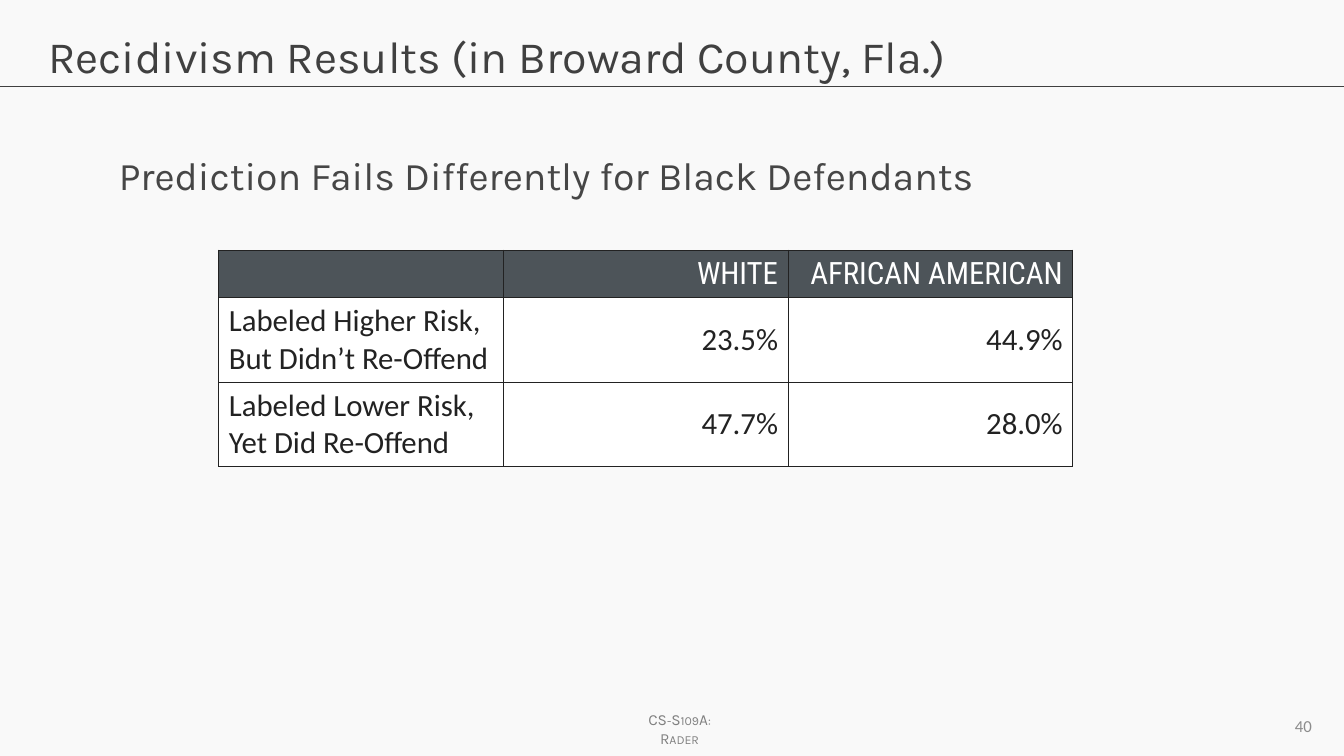
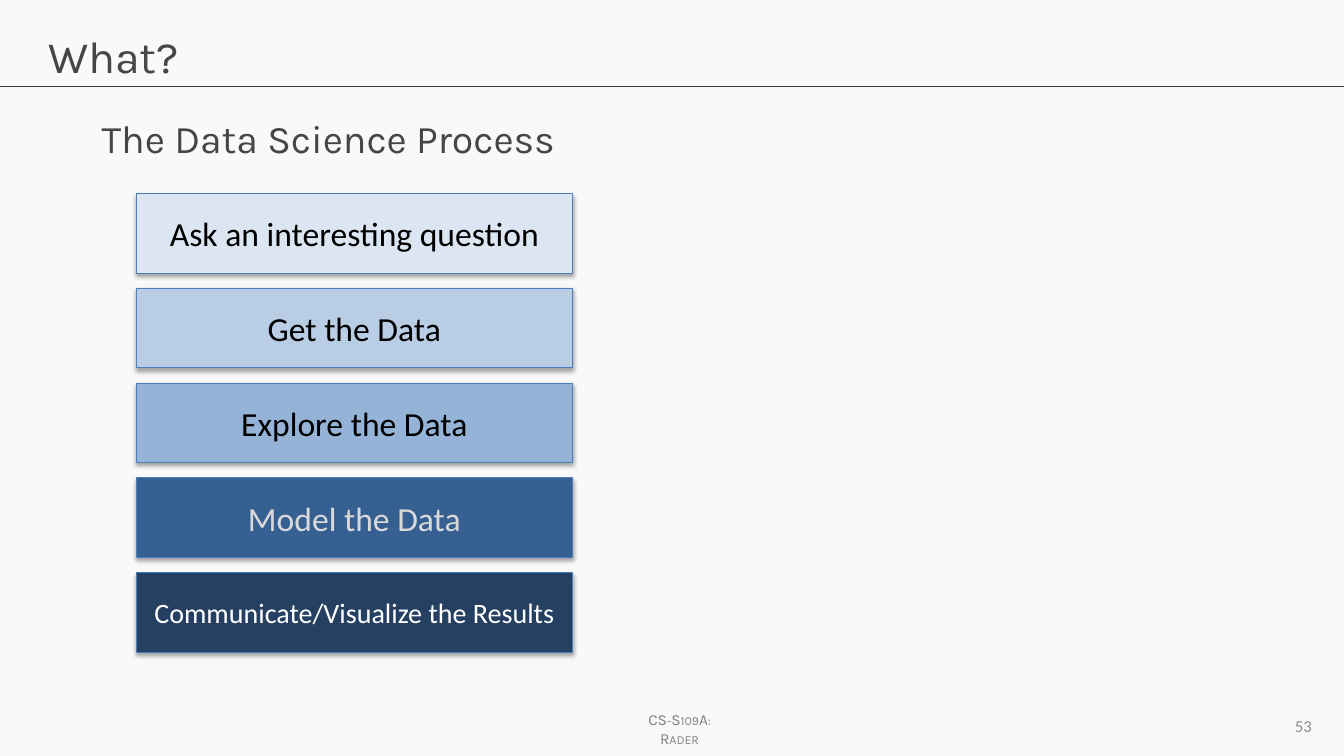
"""Build two lecture slides: a results table and the steps of a process."""
from dataclasses import dataclass

from lxml.etree import SubElement
from pptx import Presentation
from pptx.dml.color import RGBColor
from pptx.enum.shapes import MSO_CONNECTOR, MSO_SHAPE
from pptx.enum.text import MSO_ANCHOR, PP_ALIGN
from pptx.oxml.ns import qn
from pptx.shapes.base import BaseShape
from pptx.slide import Slide
from pptx.table import _Cell
from pptx.text.text import TextFrame
from pptx.util import Inches, Pt


@dataclass(frozen=True)
class Theme:
    """Colours, fonts and type sizes."""
    back: str = "F9F9F9"
    dark: str = "404040"
    soft: str = "464646"
    foot: str = "808080"
    page: str = "8C8C8C"
    head: str = "4D5459"
    ink: str = "222222"
    edge: str = "4B7EBC"
    pale: str = "D9D9D9"
    white: str = "FFFFFF"
    black: str = "000000"
    sans: str = "Karla"
    plain: str = "Calibri"
    slim: str = "Roboto Condensed"
    title: int = 32
    lead: int = 28
    step: int = 24
    small: int = 20
    grid: int = 22
    num: int = 12
    note: int = 11
    thin: float = 0.75


THEME = Theme()


@dataclass(frozen=True)
class Style:
    """Look of a run and its paragraph."""
    font: str
    size: int
    ink: str
    align: PP_ALIGN = PP_ALIGN.LEFT
    caps: bool = False


@dataclass(frozen=True)
class Box:
    """Place on the slide in inches."""
    left: float
    top: float
    wide: float
    high: float

    def spot(self) -> tuple[int, int, int, int]:
        """Return the place as lengths."""
        return Inches(self.left), Inches(self.top), Inches(self.wide), Inches(self.high)


@dataclass(frozen=True)
class Step:
    """One bar of the process."""
    text: str
    fill: str
    ink: str = THEME.black
    size: int = THEME.step


STEPS = (
    Step("Ask an interesting question", "DCE6F2"),
    Step("Get the Data", "B9CDE5"),
    Step("Explore the Data", "95B3D7"),
    Step("Model the Data", "376092", THEME.pale),
    Step("Communicate/Visualize the Results", "254061", THEME.white, THEME.small),
)
ROWS = (
    ("", "WHITE", "AFRICAN AMERICAN"),
    ("Labeled Higher Risk, But Didn’t Re-Offend", "23.5%", "44.9%"),
    ("Labeled Lower Risk, Yet Did Re-Offend", "47.7%", "28.0%"),
)
HIGHS = (0.47, 0.84, 0.84)
LEAD = Style(THEME.sans, THEME.lead, THEME.soft)
FOOT = Style(THEME.sans, THEME.note, THEME.foot, PP_ALIGN.CENTER, True)
PAGE = Style(THEME.plain, THEME.num, THEME.page, PP_ALIGN.RIGHT)


def tint(code: str) -> RGBColor:
    """Turn a hex code into a colour."""
    return RGBColor.from_string(code)


def write(frame: TextFrame, text: str, style: Style) -> None:
    """Add one styled run to the first paragraph."""
    para = frame.paragraphs[0]
    para.alignment = style.align
    run = para.add_run()
    run.text = text
    run.font.name = style.font
    run.font.size = Pt(style.size)
    run.font.color.rgb = tint(style.ink)
    if style.caps:
        run.font._element.set("cap", "small")


def label(slide: Slide, box: Box, text: str, style: Style,
          anchor: MSO_ANCHOR = MSO_ANCHOR.TOP) -> None:
    """Add a wrapped text box."""
    frame = slide.shapes.add_textbox(*box.spot()).text_frame
    frame.word_wrap = True
    frame.vertical_anchor = anchor
    write(frame, text, style)


def shade(shape: BaseShape) -> None:
    """Give a shape a soft shadow straight below."""
    shape.shadow.inherit = False
    effect = shape._element.spPr.find(qn("a:effectLst"))
    outer = SubElement(effect, qn("a:outerShdw"), blurRad=str(Pt(3.1)),
                       dist=str(Pt(1.8)), dir="5400000", rotWithShape="0")
    colour = SubElement(outer, qn("a:srgbClr"), val=THEME.black)
    SubElement(colour, qn("a:alpha"), val="35000")


def frame_cell(cell: _Cell) -> None:
    """Draw thin lines on all four sides of a cell."""
    props = cell._tc.get_or_add_tcPr()
    for place, side in enumerate(("lnL", "lnR", "lnT", "lnB")):
        line = SubElement(props, qn(f"a:{side}"), w=str(Pt(THEME.thin)))
        fill = SubElement(line, qn("a:solidFill"))
        SubElement(fill, qn("a:srgbClr"), val=THEME.ink)
        props.insert(place, line)


def start(deck: Presentation, title: str, page: str, ink: str) -> Slide:
    """Add a slide with its title, rule and footer."""
    slide = deck.slides.add_slide(deck.slide_layouts[6])
    rule = slide.shapes.add_connector(
        MSO_CONNECTOR.STRAIGHT, 0, Inches(0.86), deck.slide_width, Inches(0.86))
    rule.line.color.rgb = tint(THEME.dark)
    rule.line.width = Pt(THEME.thin)
    SubElement(rule._element.spPr, qn("a:effectLst"))
    label(slide, Box(6.19, 7, 1.1, 0.48), "CS-S109A: Rader", FOOT)
    label(slide, Box(0.38, 0.24, 12.57, 0.84), title,
          Style(THEME.sans, THEME.title, ink))
    label(slide, Box(10, 7, 3.11, 0.4), page, PAGE, MSO_ANCHOR.MIDDLE)
    return slide


def draw_grid(slide: Slide, box: Box) -> None:
    """Draw the table of results."""
    table = slide.shapes.add_table(len(ROWS), len(ROWS[0]), *box.spot()).table
    for col in table.columns:
        col.width = Inches(box.wide / len(ROWS[0]))
    for row, texts in enumerate(ROWS):
        table.rows[row].height = Inches(HIGHS[row])
        top = row == 0
        for col, text in enumerate(texts):
            cell = table.cell(row, col)
            cell.fill.solid()
            cell.fill.fore_color.rgb = tint(THEME.head if top else THEME.white)
            cell.vertical_anchor = MSO_ANCHOR.BOTTOM if top else MSO_ANCHOR.MIDDLE
            frame_cell(cell)
            if text:
                write(cell.text_frame, text, Style(
                    THEME.slim if top else THEME.plain, THEME.grid,
                    THEME.white if top else THEME.ink,
                    PP_ALIGN.RIGHT if col else PP_ALIGN.LEFT))


def draw_steps(slide: Slide, first: Box, pitch: float) -> None:
    """Stack the bars of the process at equal gaps."""
    for place, step in enumerate(STEPS):
        box = Box(first.left, first.top + place * pitch, first.wide, first.high)
        bar = slide.shapes.add_shape(MSO_SHAPE.RECTANGLE, *box.spot())
        bar.fill.solid()
        bar.fill.fore_color.rgb = tint(step.fill)
        bar.line.color.rgb = tint(THEME.edge)
        bar.line.width = Pt(THEME.thin)
        shade(bar)
        bar.text_frame.word_wrap = True
        bar.text_frame.vertical_anchor = MSO_ANCHOR.MIDDLE
        write(bar.text_frame, step.text,
              Style(THEME.plain, step.size, step.ink, PP_ALIGN.CENTER))


def main() -> None:
    """Build and save the deck."""
    deck = Presentation()
    deck.slide_width, deck.slide_height = Inches(13.33), Inches(7.5)
    back = deck.slide_master.background.fill
    back.solid()
    back.fore_color.rgb = tint(THEME.back)

    slide = start(deck, "Recidivism Results (in Broward County, Fla.)", "40", THEME.dark)
    draw_grid(slide, Box(2.17, 2.48, 8.47, sum(HIGHS)))
    label(slide, Box(1.08, 1.45, 11.29, 4.91),
          "Prediction Fails Differently for Black Defendants", LEAD)

    slide = start(deck, "What?", "53", THEME.soft)
    label(slide, Box(0.91, 1.08, 5.21, 0.68), "The Data Science Process", LEAD)
    draw_steps(slide, Box(1.35, 1.92, 4.33, 0.79), 0.94)
    deck.save("out.pptx")


if __name__ == "__main__":
    main()
